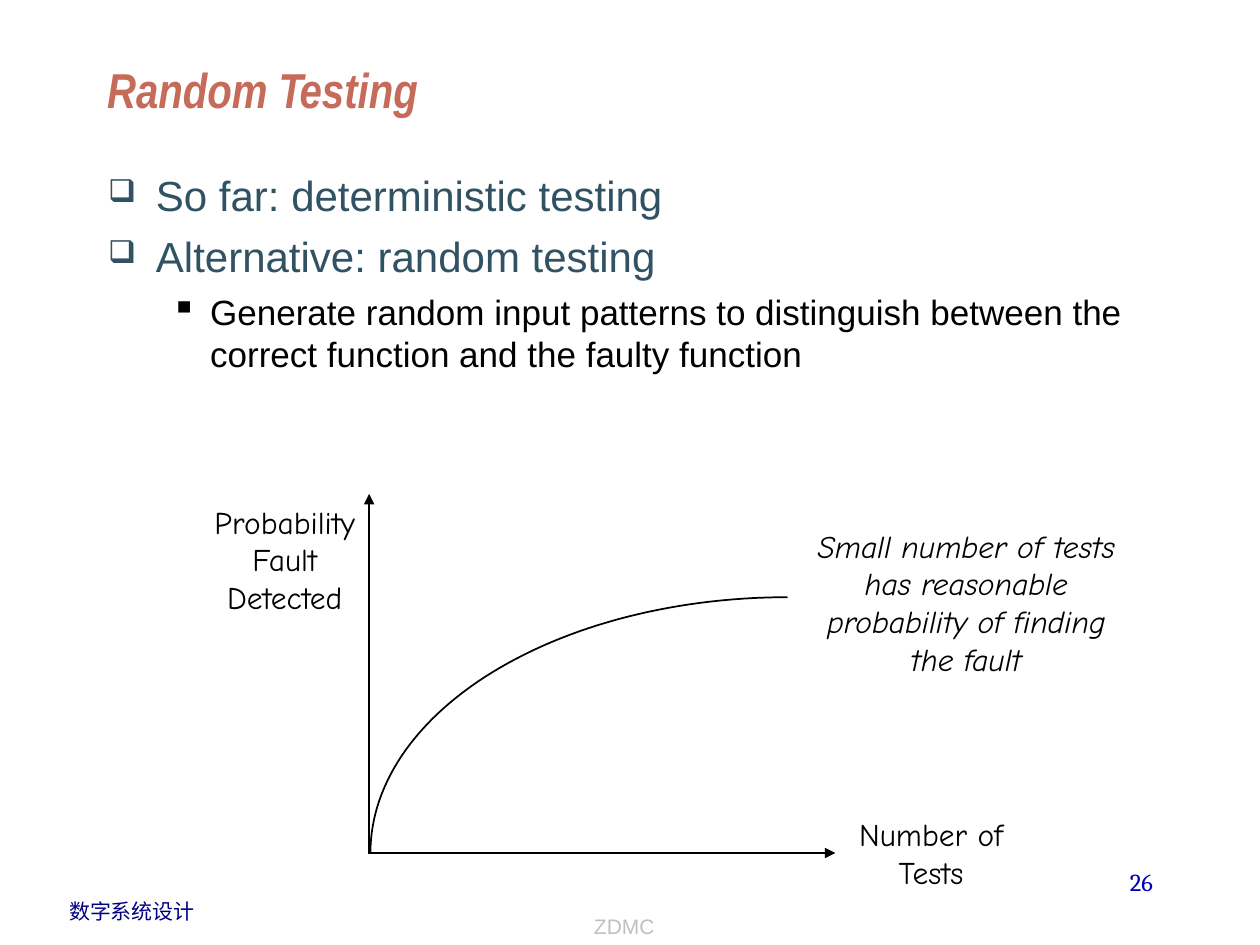
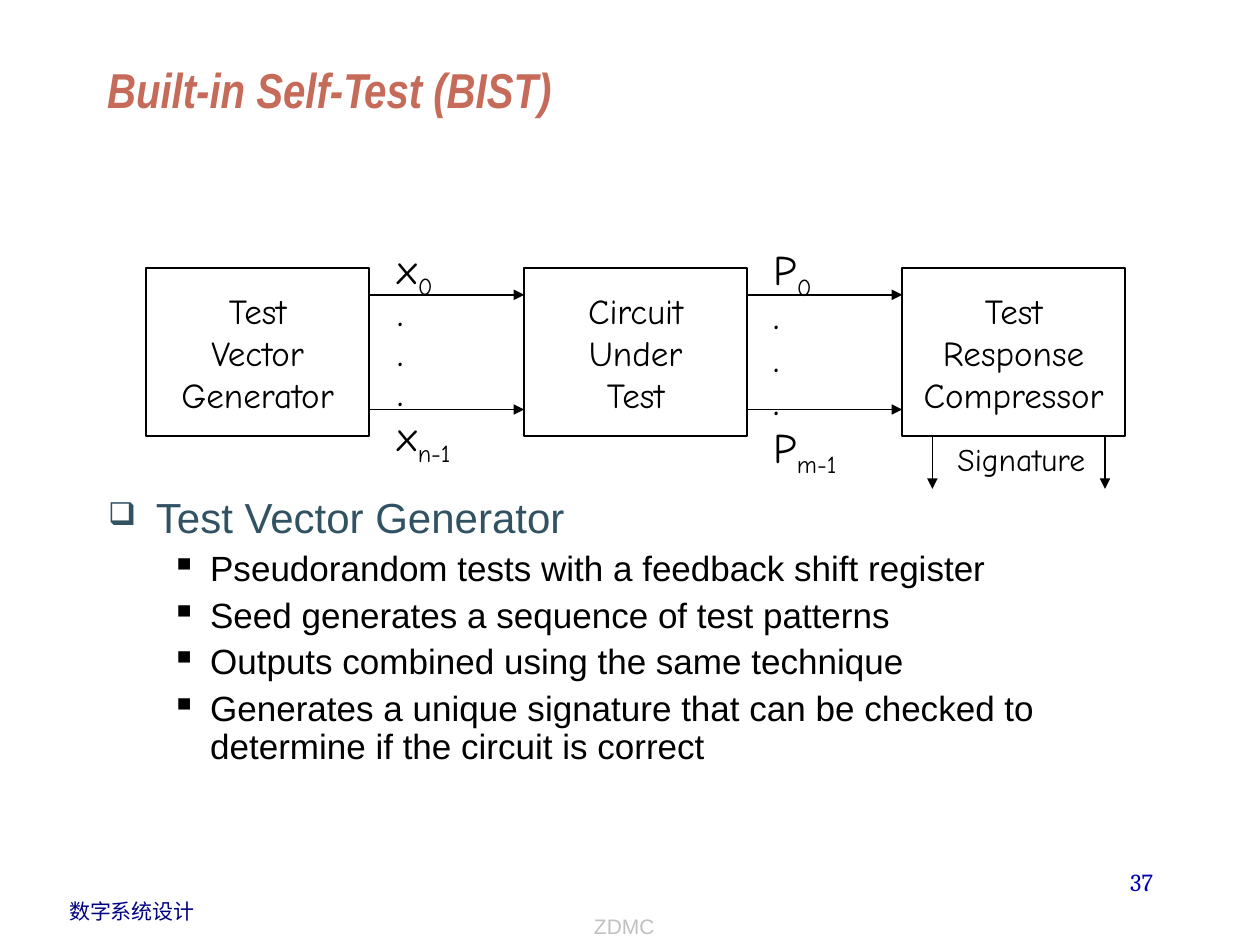
from dataclasses import dataclass
from math import cos, pi, sin

from lxml.etree import SubElement
from pptx import Presentation
from pptx.dml.color import RGBColor
from pptx.enum.shapes import MSO_CONNECTOR, MSO_SHAPE
from pptx.enum.text import MSO_ANCHOR, MSO_AUTO_SIZE, PP_ALIGN
from pptx.oxml.ns import qn
from pptx.util import Inches, Pt

# Shared look
BLACK, SLATE, TERRACOTTA = "000000", "315263", "C66B5A"
NAVY, BLUE, SILVER = "000082", "0000B6", "C0C0C0"
TITLE_FONT = {"name": "Arial Narrow", "size": Pt(28), "bold": True, "italic": True}
COURSE_FONT = {"name": "Arial", "size": Pt(12)}
NUMBER_FONT = {"name": "Cambria", "size": Pt(14)}
LABEL_FONT = {"name": "Comic Neue", "size": Pt(18)}
BLOCK_FONT = {"name": "Comic Neue", "size": Pt(20)}
SIGNAL_FONT = {"name": "Comic Neue", "size": Pt(24)}


@dataclass(frozen=True)
class Label:
    left: float
    top: float
    width: float
    height: float
    lines: tuple[str, ...]
    font: dict
    color: str = BLACK
    align: PP_ALIGN = PP_ALIGN.LEFT
    anchor: MSO_ANCHOR = MSO_ANCHOR.TOP
    spacing: float = 1.0
    wrap: bool = False


@dataclass(frozen=True)
class Level:
    bullet: str
    bullet_size: int
    margin: float
    hanging: float
    before: int
    size: int
    color: str


@dataclass(frozen=True)
class Arrow:
    x1: float
    y1: float
    x2: float
    y2: float


LEVELS = (
    Level("❑", 75, 0.38, 0.38, 6, 24, SLATE),
    Level("▪", 100, 0.81, 0.31, 5, 20, BLACK),
)


def rgb(color: str) -> RGBColor:
    return RGBColor.from_string(color)


def format_runs(paragraph, font: dict, color: str) -> None:
    for run in paragraph.runs:
        for attribute, value in font.items():
            setattr(run.font, attribute, value)
        run.font.color.rgb = rgb(color)


def set_frame(frame, anchor: MSO_ANCHOR, wrap: bool) -> None:
    settings = {"auto_size": MSO_AUTO_SIZE.NONE, "vertical_anchor": anchor, "word_wrap": wrap}
    for attribute, value in settings.items():
        setattr(frame, attribute, value)


def paragraphs(frame, count: int):
    for _ in range(count - 1):
        frame.add_paragraph()
    return frame.paragraphs


def fill_text(frame, label: Label) -> None:
    """Write the lines; an underscore starts a subscript."""
    set_frame(frame, label.anchor, label.wrap)
    for paragraph, line in zip(paragraphs(frame, len(label.lines)), label.lines):
        base, _, subscript = line.partition("_")
        paragraph.text = base
        if subscript:
            run = paragraph.add_run()
            run.text = subscript
            run._r.get_or_add_rPr().set("baseline", "-25000")
        paragraph.alignment = label.align
        paragraph.line_spacing = label.spacing
        format_runs(paragraph, label.font, label.color)


def box_of(item: Label):
    return [Inches(v) for v in (item.left, item.top, item.width, item.height)]


def add_label(slide, label: Label) -> None:
    fill_text(slide.shapes.add_textbox(*box_of(label)).text_frame, label)


def set_outline(line) -> None:
    line.color.rgb = rgb(BLACK)
    line.width = Pt(1)


def add_block(slide, label: Label) -> None:
    block = slide.shapes.add_shape(MSO_SHAPE.RECTANGLE, *box_of(label))
    block.shadow.inherit = False
    block.fill.background()
    set_outline(block.line)
    fill_text(block.text_frame, label)


def add_arrow(slide, arrow: Arrow) -> None:
    ends = [Inches(v) for v in (arrow.x1, arrow.y1, arrow.x2, arrow.y2)]
    connector = slide.shapes.add_connector(MSO_CONNECTOR.STRAIGHT, *ends)
    set_outline(connector.line)
    SubElement(connector.line._get_or_add_ln(), qn("a:tailEnd"), type="triangle")
    SubElement(connector._element.spPr, qn("a:effectLst"))


def add_bullets(slide, top: float, height: float, spacing: float,
                items: list[tuple[int, str]]) -> None:
    body = slide.shapes.add_textbox(Inches(0.76), Inches(top), Inches(8.5), Inches(height))
    frame = body.text_frame
    set_frame(frame, MSO_ANCHOR.TOP, True)
    for index, (paragraph, (depth, text)) in enumerate(zip(paragraphs(frame, len(items)), items)):
        level = LEVELS[depth]
        paragraph.text = text
        paragraph.level = depth
        properties = paragraph._p.get_or_add_pPr()
        properties.set("marL", str(Inches(level.margin)))
        properties.set("indent", str(-Inches(level.hanging)))
        bullet_color = SubElement(properties, qn("a:buClr"))
        SubElement(bullet_color, qn("a:srgbClr"), val=level.color)
        SubElement(properties, qn("a:buSzPct"), val=str(level.bullet_size * 1000))
        SubElement(properties, qn("a:buChar"), char=level.bullet)
        paragraph.line_spacing = spacing
        if index:
            paragraph.space_before = Pt(level.before)
        format_runs(paragraph, {"name": "Arial", "size": Pt(level.size)}, level.color)


def start_slide(deck, title: str, number: str):
    """Add a slide with its title and the three footer parts."""
    slide = deck.slides.add_slide(deck.slide_layouts[5])
    heading = Label(0.75, 0.25, 8.5, 0.74, (title,), TITLE_FONT, TERRACOTTA,
                    anchor=MSO_ANCHOR.BOTTOM, wrap=True)
    placeholder = slide.shapes.title
    placeholder.left, placeholder.top, placeholder.width, placeholder.height = box_of(heading)
    fill_text(placeholder.text_frame, heading)
    footers = (
        Label(0.45, 7.08, 1.2, 0.3, ("数字系统设计",), COURSE_FONT, NAVY),
        Label(7.17, 6.83, 2.08, 0.5, (number,), NUMBER_FONT, BLUE, PP_ALIGN.RIGHT, wrap=True),
        Label(2.52, 6.99, 4.87, 0.51, ("ZDMC",), COURSE_FONT, SILVER, PP_ALIGN.CENTER,
              MSO_ANCHOR.BOTTOM, wrap=True),
    )
    for footer in footers:
        add_label(slide, footer)
    return slide


def add_probability_curve(slide) -> None:
    """Draw a quarter ellipse rising from the origin of the axes."""
    center_x, center_y, radius_x, radius_y, steps = 6.25, 6.77, 3.31, 2.03, 60
    angles = [pi / 2 * step / steps for step in range(steps + 1)]
    points = [(Inches(center_x - radius_x * cos(a)), Inches(center_y - radius_y * sin(a)))
              for a in angles]
    builder = slide.shapes.build_freeform(*points[0])
    builder.add_line_segments(points[1:], close=False)
    curve = builder.convert_to_shape()
    curve.shadow.inherit = False
    curve.fill.background()
    set_outline(curve.line)


def build_random_testing(deck) -> None:
    slide = start_slide(deck, "Random Testing", "26")
    add_bullets(slide, 1.3, 4.5, 1.0, [
        (0, "So far: deterministic testing"),
        (0, "Alternative: random testing"),
        (1, "Generate random input patterns to distinguish between the "
            "correct function and the faulty function"),
    ])
    # Axes and curve
    for axis in (Arrow(2.93, 6.77, 2.93, 3.92), Arrow(2.92, 6.77, 6.63, 6.77)):
        add_arrow(slide, axis)
    add_probability_curve(slide)
    # Axis names and remark
    remark = ("Small number of tests\vhas reasonable\vprobability of finding\vthe fault",)
    for label in (
        Label(6.72, 6.42, 1.34, 0.7, ("Number of", "Tests"), LABEL_FONT, align=PP_ALIGN.CENTER),
        Label(1.6, 3.94, 1.32, 1, ("Probability", "Fault", "Detected"), LABEL_FONT,
              align=PP_ALIGN.CENTER),
        Label(6.39, 4.13, 2.56, 1.3, remark, {**LABEL_FONT, "italic": True},
              align=PP_ALIGN.CENTER),
    ):
        add_label(slide, label)


def build_self_test(deck) -> None:
    slide = start_slide(deck, "Built-in Self-Test (BIST)", "37")
    add_bullets(slide, 3.9, 2.4, 0.9, [
        (0, "Test Vector Generator"),
        (1, "Pseudorandom tests with a feedback shift register"),
        (1, "Seed generates a sequence of test patterns"),
        (1, "Outputs combined using the same technique"),
        (1, "Generates a unique signature that can be checked to "
            "determine if the circuit is correct"),
    ])
    # Three stages with a pair of arrows between neighbours
    stages = (("Test", "Vector", "Generator"), ("Circuit", "Under", "Test"),
              ("Test", "Response", "Compressor"))
    first_left, stage_width, pitch = 1.16, 1.77, 3.0
    for index, words in enumerate(stages):
        left = first_left + index * pitch
        add_block(slide, Label(left, 2.13, stage_width, 1.33, words, BLOCK_FONT,
                               align=PP_ALIGN.CENTER, anchor=MSO_ANCHOR.MIDDLE))
        if index < len(stages) - 1:
            for y in (2.34, 3.25):
                add_arrow(slide, Arrow(left + stage_width, y, left + pitch, y))
    # Signal names
    for signals in (
        Label(3.06, 1.92, 0.62, 1.79, ("x_0", ".", ".", ".", "x_n-1"), SIGNAL_FONT, spacing=0.8),
        Label(6.04, 1.91, 0.7, 1.89, ("P_0", ".", ".", ".", "P_m-1"), SIGNAL_FONT, spacing=0.85),
    ):
        add_label(slide, signals)
    # Signature outputs
    for x in (7.4, 8.77):
        add_arrow(slide, Arrow(x, 3.47, x, 3.88))
    add_label(slide, Label(7.5, 3.44, 1.22, 0.4, ("Signature",), LABEL_FONT))


def main() -> None:
    deck = Presentation()
    deck.slide_width, deck.slide_height = Inches(10), Inches(7.5)
    build_random_testing(deck)
    build_self_test(deck)
    deck.save("out.pptx")


if __name__ == "__main__":
    main()
